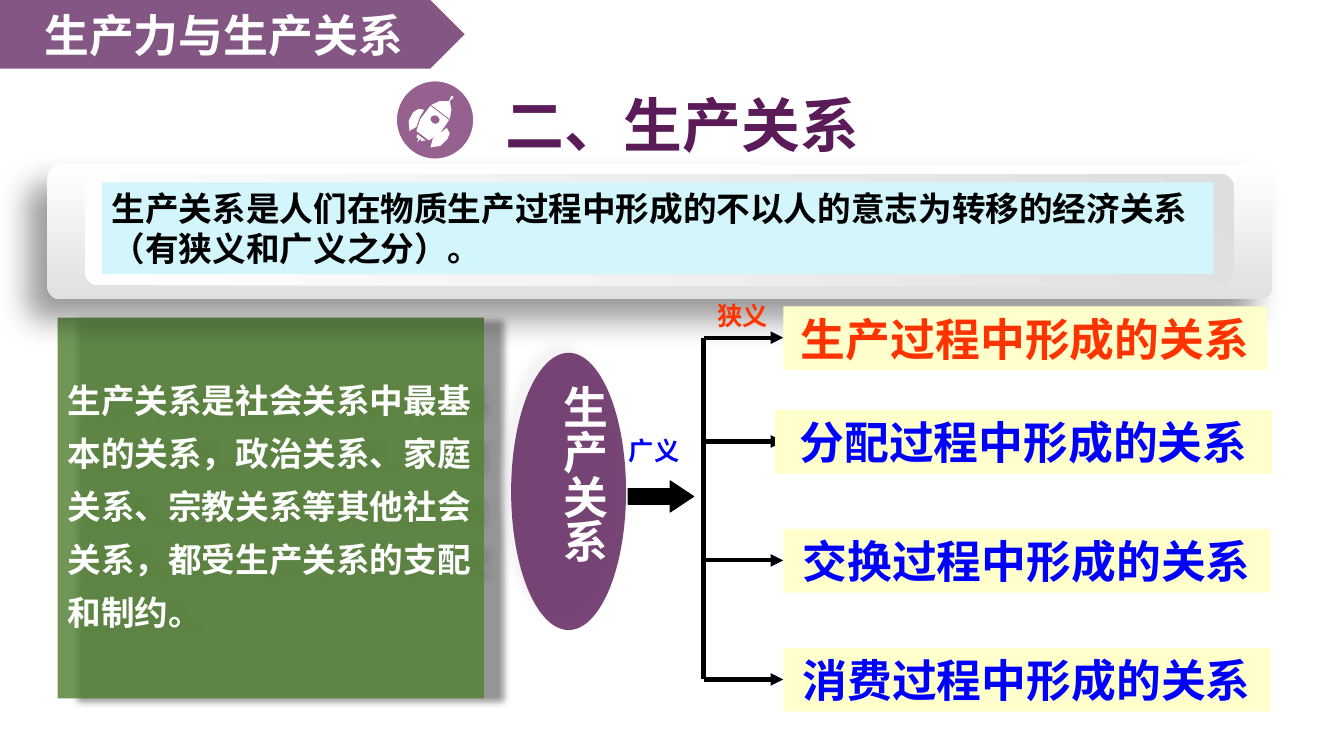
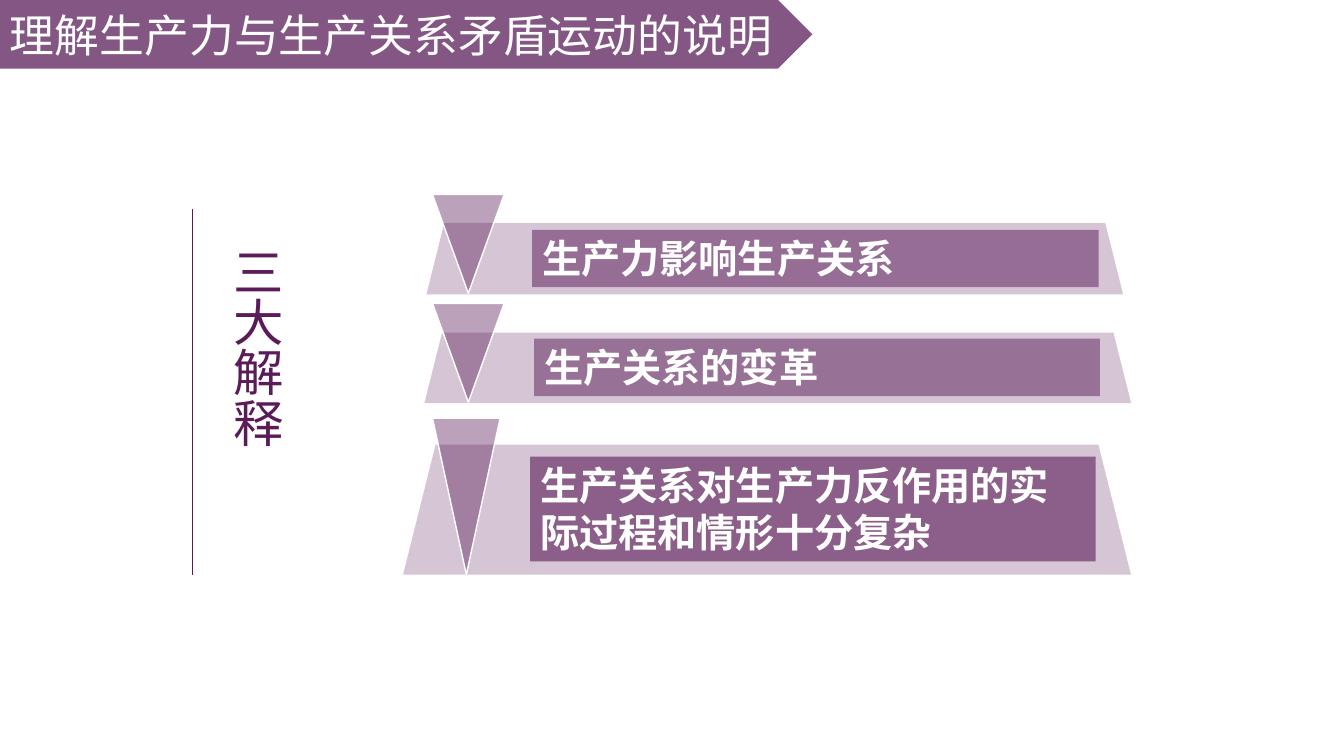
from dataclasses import dataclass

from lxml.etree import SubElement
from pptx import Presentation
from pptx.dml.color import RGBColor
from pptx.enum.shapes import MSO_CONNECTOR, MSO_SHAPE
from pptx.enum.text import MSO_ANCHOR, PP_ALIGN
from pptx.oxml.ns import qn
from pptx.util import Inches, Pt


@dataclass(frozen=True)
class Theme:
    plum: str = "5A1B58"
    badge: str = "6A1F5F"
    green: str = "548235"
    cyan: str = "D3F6FD"
    cream: str = "FFFFCC"
    red: str = "FF3300"
    blue: str = "0000FF"
    black: str = "000000"
    white: str = "FFFFFF"
    silver: str = "E0E0E0"
    haze: str = "E7E6E6"
    font: str = "Noto Sans CJK SC"
    heading_font: str = "Noto Sans CJK JP"
    branch_font: str = "Arial"
    heading: int = 42
    vertical: int = 36
    title: int = 32
    bar: int = 28
    body: int = 24
    label: int = 18
    leading: float = 1.2


THEME = Theme()
WIDTH, HEIGHT = Inches(13.33), Inches(7.5)

# Outlines in hundredths of the badge: body, porthole, nose, two fins, flame
ROCKET = [
    [(26, 64), (31, 49), (38, 40), (44, 32), (68, 50), (62, 59), (55, 68), (42, 76)],
    [(53, 45), (49, 44), (45, 46), (44, 50), (47, 54), (51, 55), (55, 53), (56, 49)],
    [(68, 26), (71, 19), (74, 21), (69, 26), (71, 37), (69, 49), (45, 31), (56, 26)],
    [(44, 85), (47, 74), (65, 60), (69, 67), (66, 74), (57, 83)],
    [(17, 64), (16, 51), (22, 40), (29, 36), (36, 37), (30, 47), (26, 59)],
    [(32, 77), (32, 74), (27, 78), (29, 72), (26, 73), (27, 68), (38, 76)],
]


def across(share):
    return round(WIDTH * share / 100)


def down(share):
    return round(HEIGHT * share / 100)


def place(area):
    """Turn (left, top, width, height) in percent of the slide into lengths."""
    left, top, width, height = area
    return across(left), down(top), across(width), down(height)


def rgb(color):
    return RGBColor.from_string(color)


def paint(shape, color, opacity=100):
    shape.fill.solid()
    shape.fill.fore_color.rgb = rgb(color)
    if opacity < 100:
        tint = shape.fill._xPr.find(qn("a:solidFill"))[0]
        SubElement(tint, qn("a:alpha"), val=str(opacity * 1000))


def shade(shape, start, end, angle):
    shape.fill.gradient()
    shape.fill.gradient_angle = angle
    for stop, color, position in zip(shape.fill.gradient_stops, (start, end), (0, 1)):
        stop.color.rgb = rgb(color)
        stop.position = position


def cast_shadow(shape, color, opacity, blur, distance, angle):
    effects = shape._element.spPr.find(qn("a:effectLst"))
    shadow = SubElement(effects, qn("a:outerShdw"), blurRad=str(Pt(blur)),
                        dist=str(Pt(distance)), dir=str(angle * 60000),
                        algn="ctr", rotWithShape="0")
    tint = SubElement(shadow, qn("a:srgbClr"), val=color)
    SubElement(tint, qn("a:alpha"), val=str(opacity * 1000))


def add_block(shapes, preset, area, color=None, opacity=100, outline=None,
              outline_width=1, adjustments=()):
    block = shapes.add_shape(preset, *place(area))
    block.shadow.inherit = False
    if color:
        paint(block, color, opacity)
    if outline:
        block.line.color.rgb = rgb(outline)
        block.line.width = Pt(outline_width)
    else:
        block.line.fill.background()
    for index, value in enumerate(adjustments):
        block.adjustments[index] = value
    return block


def write(shape, text, *, size, color=THEME.white, font=THEME.font, bold=True,
          align=PP_ALIGN.LEFT, anchor=MSO_ANCHOR.TOP, leading=THEME.leading,
          space_before=0, wrap=True, vertical=False):
    """Fill a shape with text, one paragraph for each line of the string."""
    frame = shape.text_frame
    frame.word_wrap = wrap
    frame.vertical_anchor = anchor
    if vertical:
        frame._txBody.bodyPr.set("vert", "eaVert")
    for index, line in enumerate(text.split("\n")):
        paragraph = frame.add_paragraph() if index else frame.paragraphs[0]
        paragraph.alignment = align
        paragraph.line_spacing = Pt(round(size * leading, 1))
        if index:
            paragraph.space_before = Pt(space_before)
        run = paragraph.add_run()
        run.text = line
        run.font.size = Pt(size)
        run.font.bold = bold
        run.font.color.rgb = rgb(color)
        run.font.name = font
        SubElement(run._r.get_or_add_rPr(), qn("a:ea"), typeface=font)


def add_label(slide, area, text, **style):
    write(slide.shapes.add_textbox(*place(area)), text, **style)


def add_rule(slide, start, end, color=THEME.black, weight=3, arrow=False):
    rule = slide.shapes.add_connector(
        MSO_CONNECTOR.STRAIGHT, across(start[0]), down(start[1]),
        across(end[0]), down(end[1]))
    rule.line.color.rgb = rgb(color)
    rule.line.width = Pt(weight)
    properties = rule._element.spPr
    if arrow:
        SubElement(properties.find(qn("a:ln")), qn("a:tailEnd"), type="triangle")
    SubElement(properties, qn("a:effectLst"))


def add_banner(slide, text, width, **style):
    banner = add_block(slide.shapes, MSO_SHAPE.PENTAGON, (0, 0, width, 9.07),
                       THEME.plum, 74)
    write(banner, text, size=THEME.title, anchor=MSO_ANCHOR.MIDDLE, **style)


def add_rocket_badge(slide, area):
    add_block(slide.shapes, MSO_SHAPE.OVAL, area, THEME.badge, 70, THEME.white)
    left, top, width, height = place(area)
    outlines = [[(left + width * x / 100, top + height * y / 100) for x, y in part]
                for part in ROCKET]
    builder = slide.shapes.build_freeform(*outlines[0][0])
    for index, (first, *others) in enumerate(outlines):
        if index:
            builder.move_to(*first)
        builder.add_line_segments(others, close=True)
    rocket = builder.convert_to_shape()
    rocket.shadow.inherit = False
    paint(rocket, THEME.white)
    rocket.line.fill.background()


def add_definition(slide):
    panel = slide.shapes.add_group_shape().shapes
    frame = add_block(panel, MSO_SHAPE.ROUNDED_RECTANGLE,
                      (3.53, 21.73, 91.13, 17.87), adjustments=[0.1])
    shade(frame, THEME.white, THEME.silver, 270)
    cast_shadow(frame, THEME.black, 40, 22, 20, 135)
    inset = add_block(panel, MSO_SHAPE.ROUNDED_RECTANGLE,
                      (6.3, 23.07, 85.5, 14.67), adjustments=[0.12])
    shade(inset, THEME.white, "DDDEDD", 45)
    definition = add_block(slide.shapes, MSO_SHAPE.RECTANGLE,
                           (7.58, 24.13, 82.73, 12.13), THEME.cyan)
    write(definition, "生产关系是人们在物质生产过程中形成的不以人的意志为转移的"
          "经济关系（有狭义和广义之分）。", size=THEME.body, color=THEME.black)


def add_branches(slide):
    trunk, tip = 52.35, 58.28
    branches = [
        ("生产", THEME.red, 44.67, tip, 36),
        ("分配", THEME.blue, 58.4, 57.68, 36.98),
        ("交换", THEME.blue, 74.13, tip, 36.23),
        ("消费", THEME.blue, 89.87, tip, 36.23),
    ]
    add_rule(slide, (trunk, branches[0][2]), (trunk, branches[-1][2]))
    for stage, color, middle, left, width in branches:
        add_rule(slide, (trunk, middle), (tip, middle), arrow=True)
        branch = add_block(slide.shapes, MSO_SHAPE.RECTANGLE,
                           (left, middle - 4.13, width, 8.4), THEME.cream)
        write(branch, f"{stage}过程中形成的关系", size=THEME.title, color=color,
              font=THEME.branch_font, align=PP_ALIGN.CENTER)


def build_relations(slide):
    remark = add_block(slide.shapes, MSO_SHAPE.RECTANGLE,
                       (4.28, 42, 31.73, 50.4), THEME.green, 83)
    cast_shadow(remark, THEME.black, 50, 5, 14.2, 9)
    write(remark, "生产关系是社会关系中最基\n本的关系，政治关系、家庭\n"
          "关系、宗教关系等其他社会\n关系，都受生产关系的支配\n和制约。",
          size=THEME.body, align=PP_ALIGN.JUSTIFY, anchor=MSO_ANCHOR.MIDDLE,
          leading=THEME.leading * 0.9, space_before=12, wrap=False)
    add_definition(slide)
    add_banner(slide, "生产力与生产关系", 34.58, align=PP_ALIGN.CENTER)

    core = add_block(slide.shapes, MSO_SHAPE.OVAL, (38.03, 46.67, 8.55, 36.67),
                     THEME.plum, 81)
    cast_shadow(core, THEME.haze, 50, 5, 8.5, 225)
    add_label(slide, (40.28, 49.6, 5.55, 30.8), "生产关系",
              size=THEME.title, vertical=True)
    add_label(slide, (46.05, 56.93, 5.93, 5.33), "广义",
              size=THEME.label, color=THEME.blue)
    add_label(slide, (51.15, 39.07, 8.25, 7.6), "狭义", size=THEME.label,
              color=THEME.red, font=THEME.heading_font, align=PP_ALIGN.CENTER)
    add_branches(slide)
    add_block(slide.shapes, MSO_SHAPE.RIGHT_ARROW, (46.73, 63.6, 4.88, 4.13),
              THEME.black, outline=THEME.black, outline_width=0.75,
              adjustments=[0.5, 0.75])

    add_label(slide, (36.9, 11.07, 30.23, 10.8), "二、生产关系",
              size=THEME.heading, color=THEME.plum, font=THEME.heading_font)
    add_rocket_badge(slide, (29.48, 10.67, 5.78, 10.4))


def build_explanations(slide):
    add_banner(slide, "理解生产力与生产关系矛盾运动的说明", 60.45, bold=False)
    explanations = [
        ("生产力影响生产关系", 51, (31.73, 29.47, 51.83, 9.47),
         (32.18, 25.73, 5.33, 13.07), (39.6, 30.4, 42.15, 7.6)),
        ("生产关系的变革", 49, (31.58, 44, 52.58, 9.33),
         (32.18, 40.13, 5.33, 13.07), (39.75, 44.8, 42.08, 7.6)),
        ("生产关系对生产力反作用的实际过程和情形十分复杂", 60,
         (30, 58.8, 54.15, 17.2), (32.18, 55.33, 5.03, 20.67),
         (39.45, 60.4, 42.08, 13.87)),
    ]
    for text, opacity, base_area, marker_area, bar_area in explanations:
        add_block(slide.shapes, MSO_SHAPE.TRAPEZOID, base_area, THEME.plum, 25)
        marker = add_block(slide.shapes, MSO_SHAPE.ISOSCELES_TRIANGLE, marker_area,
                           THEME.plum, 41, THEME.white)
        marker.rotation = 180
        bar = add_block(slide.shapes, MSO_SHAPE.RECTANGLE, bar_area,
                        THEME.plum, opacity)
        write(bar, text, size=THEME.bar)
    add_rule(slide, (14.33, 27.6), (14.33, 76), THEME.plum, 0.5)
    add_label(slide, (15.68, 31.33, 6.08, 42.27), "三大解释", size=THEME.vertical,
              color=THEME.plum, bold=False, vertical=True)


def main():
    deck = Presentation()
    deck.slide_width, deck.slide_height = WIDTH, HEIGHT
    for build in (build_relations, build_explanations):
        build(deck.slides.add_slide(deck.slide_layouts[6]))
    deck.save("out.pptx")


if __name__ == "__main__":
    main()
